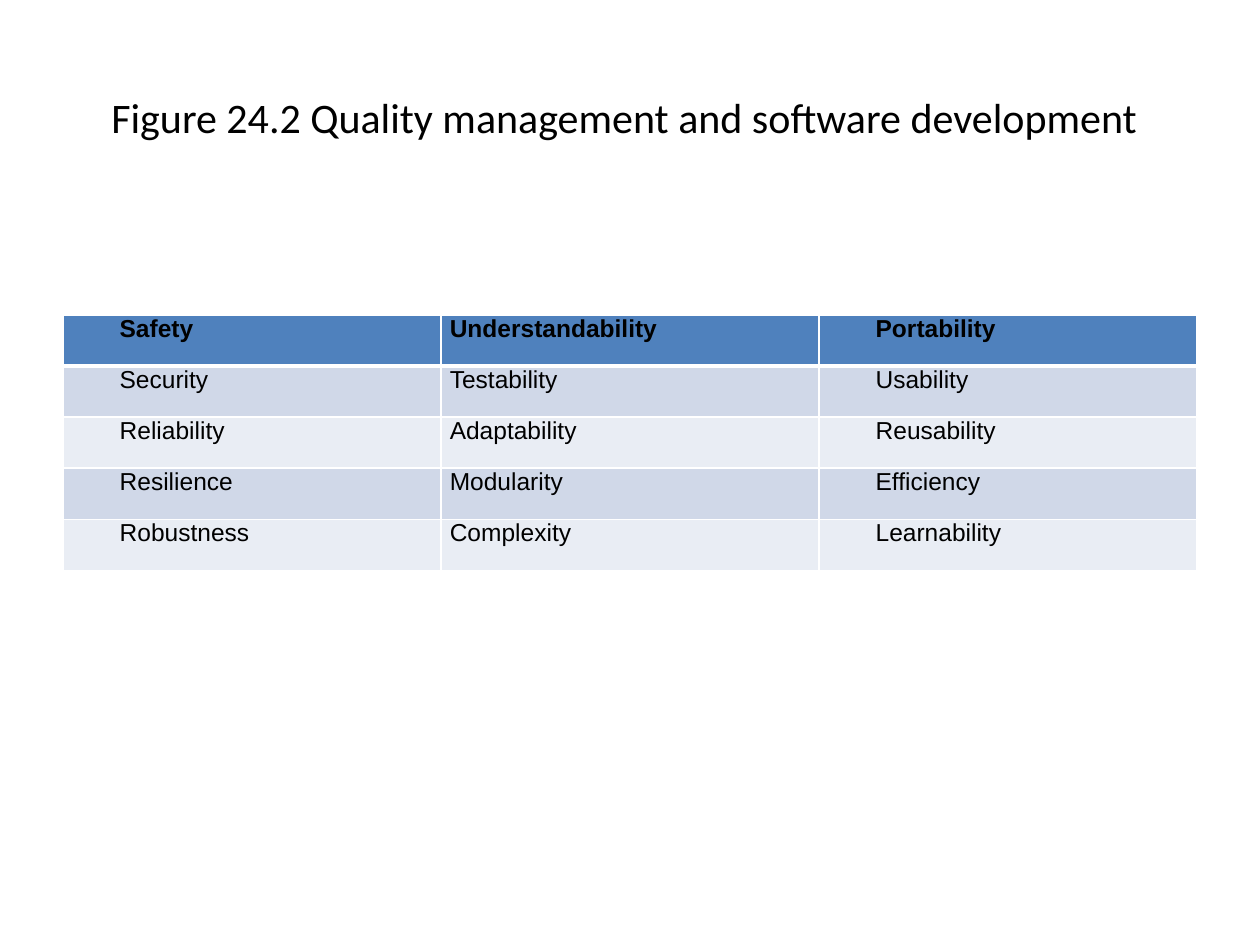
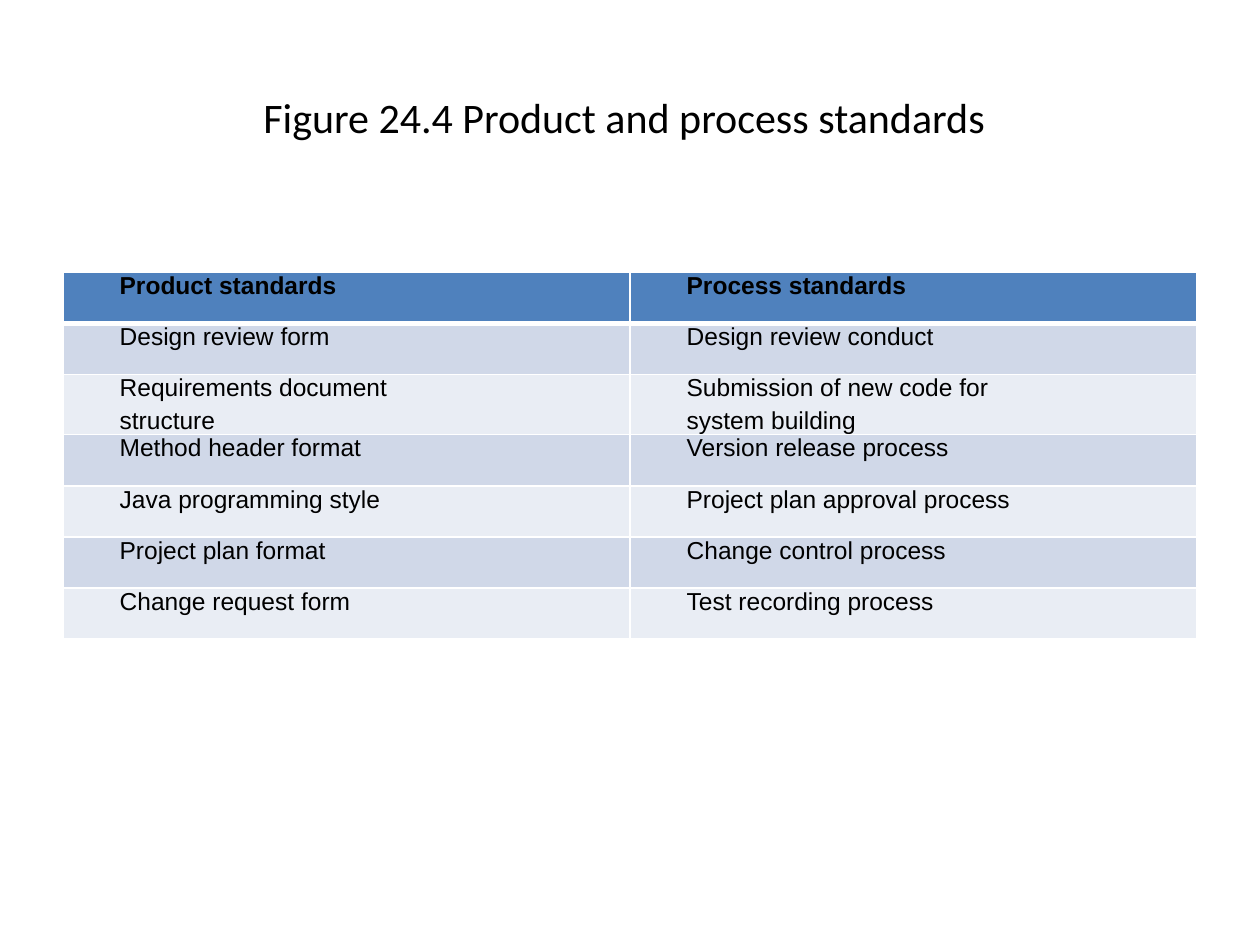
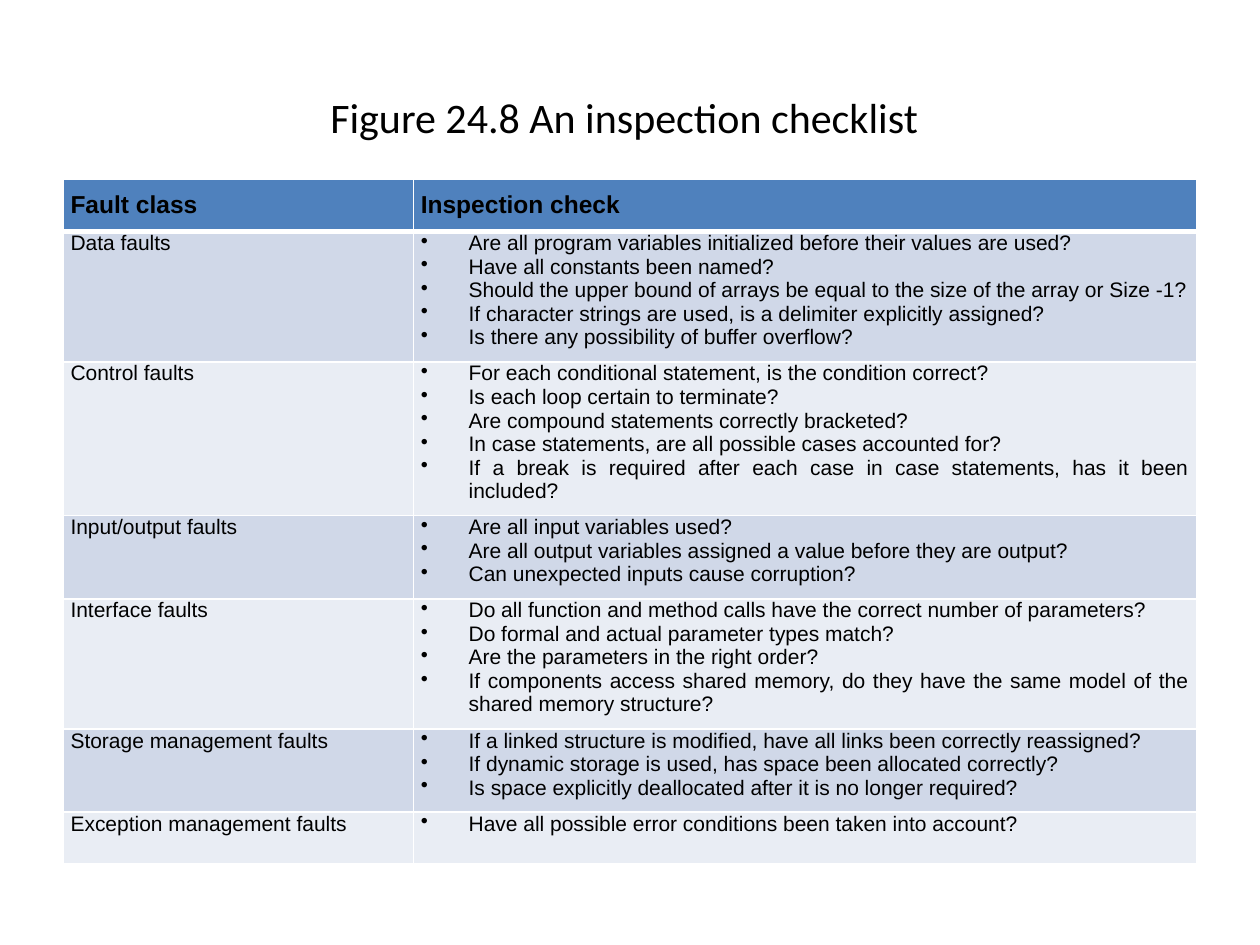
from dataclasses import dataclass

from lxml.etree import SubElement
from pptx import Presentation
from pptx.dml.color import RGBColor
from pptx.enum.text import MSO_ANCHOR, PP_ALIGN
from pptx.oxml import parse_xml
from pptx.oxml.ns import nsdecls, qn
from pptx.util import Inches, Pt


@dataclass(frozen=True)
class Theme:
    title_font: str = "Calibri"
    table_font: str = "Arial"
    text: str = "000000"
    border: str = "FFFFFF"
    header: str = "4F81BD"
    bands: tuple[str, str] = ("D0D8E8", "E9EDF4")
    title_size: int = 24
    head_size: int = 14
    thin: int = 1
    thick: int = 3


@dataclass(frozen=True)
class ColumnStyle:
    weight: float
    first_line: float = 0.0  # inches
    bulleted: bool = False


@dataclass(frozen=True)
class TableStyle:
    """Cell insets in inches, text size and paragraph gap in points."""
    side: float
    head_inset: float
    bottom: float
    body_size: int
    gap: int


@dataclass(frozen=True)
class Figure:
    number: str
    caption: str
    top: float  # percent of the slide height
    style: TableStyle
    columns: tuple[ColumnStyle, ...]
    rows: tuple[tuple[str, ...], ...]  # a line break starts a paragraph


THEME = Theme()

# Shared layout, as percentages of the slide's width or height
LEFT, WIDTH = 5, 90
TITLE_TOP, TITLE_HEIGHT = 4, 16.67
ROW_HEIGHT = 5.41
TITLE_RIGHT_INSET = 0.19  # inches
HANGING = 0.38  # inches
EN_SPACE = " "  # between the figure number and its caption

LIST_STYLE = TableStyle(side=0.07, head_inset=0, bottom=0, body_size=14, gap=3)
CHECK_STYLE = TableStyle(side=0.06, head_inset=0.1, bottom=0.1, body_size=12, gap=0)

FIGURES = (
    Figure(
        "24.2", "Quality management and software development", 33.33, LIST_STYLE,
        (ColumnStyle(1, HANGING), ColumnStyle(1), ColumnStyle(1, HANGING)),
        (
            ("Safety", "Understandability", "Portability"),
            ("Security", "Testability", "Usability"),
            ("Reliability", "Adaptability", "Reusability"),
            ("Resilience", "Modularity", "Efficiency"),
            ("Robustness", "Complexity", "Learnability"),
        ),
    ),
    Figure(
        "24.4", "Product and process standards", 28.8, LIST_STYLE,
        (ColumnStyle(1, HANGING), ColumnStyle(1, HANGING)),
        (
            ("Product standards", "Process standards"),
            ("Design review form", "Design review conduct"),
            ("Requirements document\nstructure",
             "Submission of new code for\nsystem building"),
            ("Method header format", "Version release process"),
            ("Java programming style", "Project plan approval process"),
            ("Project plan format", "Change control process"),
            ("Change request form", "Test recording process"),
        ),
    ),
    Figure(
        "24.8", "An inspection checklist", 18.93, CHECK_STYLE,
        (ColumnStyle(2.78), ColumnStyle(6.22, bulleted=True)),
        (
            ("Fault class", "Inspection check"),
            ("Data faults",
             "Are all program variables initialized before their values are used?\n"
             "Have all constants been named?\n"
             "Should the upper bound of arrays be equal to the size of the array or Size -1?\n"
             "If character strings are used, is a delimiter explicitly assigned?\n"
             "Is there any possibility of buffer overflow?"),
            ("Control faults",
             "For each conditional statement, is the condition correct?\n"
             "Is each loop certain to terminate?\n"
             "Are compound statements correctly bracketed?\n"
             "In case statements, are all possible cases accounted for?\n"
             "If a break is required after each case in case statements, "
             "has it been included?"),
            ("Input/output faults",
             "Are all input variables used?\n"
             "Are all output variables assigned a value before they are output?\n"
             "Can unexpected inputs cause corruption?"),
            ("Interface faults",
             "Do all function and method calls have the correct number of parameters?\n"
             "Do formal and actual parameter types match?\n"
             "Are the parameters in the right order?\n"
             "If components access shared memory, do they have the same model "
             "of the shared memory structure?"),
            ("Storage management faults",
             "If a linked structure is modified, have all links been correctly reassigned?\n"
             "If dynamic storage is used, has space been allocated correctly?\n"
             "Is space explicitly deallocated after it is no longer required?"),
            ("Exception management faults",
             "Have all possible error conditions been taken into account?"),
        ),
    ),
)


def share(length: int, percent: float) -> int:
    return round(length * percent / 100)


def format_font(font, name: str, size: int, bold: bool = False) -> None:
    font.name, font.size, font.bold = name, Pt(size), bold
    font.color.rgb = RGBColor.from_string(THEME.text)


def set_borders(cell, row: int) -> None:
    """White rules, with a thick one under the header row."""
    widths = {
        "lnL": THEME.thin,
        "lnR": THEME.thin,
        "lnT": THEME.thick if row == 1 else THEME.thin,
        "lnB": THEME.thick if row == 0 else THEME.thin,
    }
    properties = cell._tc.get_or_add_tcPr()
    for position, (side, width) in enumerate(widths.items()):
        properties.insert(position, parse_xml(
            f'<a:{side} {nsdecls("a")} w="{Pt(width)}"><a:solidFill>'
            f'<a:srgbClr val="{THEME.border}"/></a:solidFill></a:{side}>'))


def set_indent(paragraph, column: ColumnStyle, is_header: bool) -> None:
    properties = paragraph._p.get_or_add_pPr()
    if column.bulleted and not is_header:
        properties.set("marL", str(Inches(HANGING)))
        properties.set("indent", str(-Inches(HANGING)))
        SubElement(properties, qn("a:buChar")).set("char", "•")
    elif column.first_line:
        properties.set("marL", "0")
        properties.set("indent", str(Inches(column.first_line)))


def fill_cell(cell, text: str, row: int, column: ColumnStyle, style: TableStyle) -> None:
    is_header = row == 0
    colour = THEME.header if is_header else THEME.bands[(row - 1) % 2]
    cell.fill.solid()
    cell.fill.fore_color.rgb = RGBColor.from_string(colour)
    set_borders(cell, row)
    cell.vertical_anchor = MSO_ANCHOR.TOP
    cell.margin_left = cell.margin_right = Inches(style.side)
    cell.margin_top = Inches(style.head_inset if is_header else 0)
    cell.margin_bottom = Inches(style.bottom)
    cell.text_frame.text = text
    for paragraph in cell.text_frame.paragraphs:
        set_indent(paragraph, column, is_header)
        paragraph.alignment = PP_ALIGN.JUSTIFY
        paragraph.space_after = Pt(style.gap)
        for span in paragraph.runs:
            size = THEME.head_size if is_header else style.body_size
            format_font(span.font, THEME.table_font, size, is_header)


def draw_title(deck, page, figure: Figure) -> None:
    title = page.shapes.title
    title.left, title.width = share(deck.slide_width, LEFT), share(deck.slide_width, WIDTH)
    title.top = share(deck.slide_height, TITLE_TOP)
    title.height = share(deck.slide_height, TITLE_HEIGHT)
    frame = title.text_frame
    frame.text = f"Figure {figure.number}{EN_SPACE}{figure.caption}"
    frame.vertical_anchor = MSO_ANCHOR.MIDDLE
    frame.margin_right = Inches(TITLE_RIGHT_INSET)
    paragraph = frame.paragraphs[0]
    paragraph.alignment = PP_ALIGN.CENTER
    format_font(paragraph.runs[0].font, THEME.title_font, THEME.title_size)


def draw_table(deck, page, figure: Figure) -> None:
    width = share(deck.slide_width, WIDTH)
    row_height = share(deck.slide_height, ROW_HEIGHT)
    table = page.shapes.add_table(
        len(figure.rows), len(figure.columns),
        share(deck.slide_width, LEFT), share(deck.slide_height, figure.top),
        width, row_height * len(figure.rows)).table
    table.horz_banding = False
    total = sum(column.weight for column in figure.columns)
    for index, column in enumerate(figure.columns):
        table.columns[index].width = round(width * column.weight / total)
        for row, texts in enumerate(figure.rows):
            fill_cell(table.cell(row, index), texts[index], row, column, figure.style)


def main() -> None:
    deck = Presentation()
    deck.slide_width, deck.slide_height = Inches(10), Inches(7.5)
    title_only = deck.slide_layouts.get_by_name("Title Only")
    for figure in FIGURES:
        page = deck.slides.add_slide(title_only)
        draw_title(deck, page, figure)
        draw_table(deck, page, figure)
    deck.save("out.pptx")


if __name__ == "__main__":
    main()
